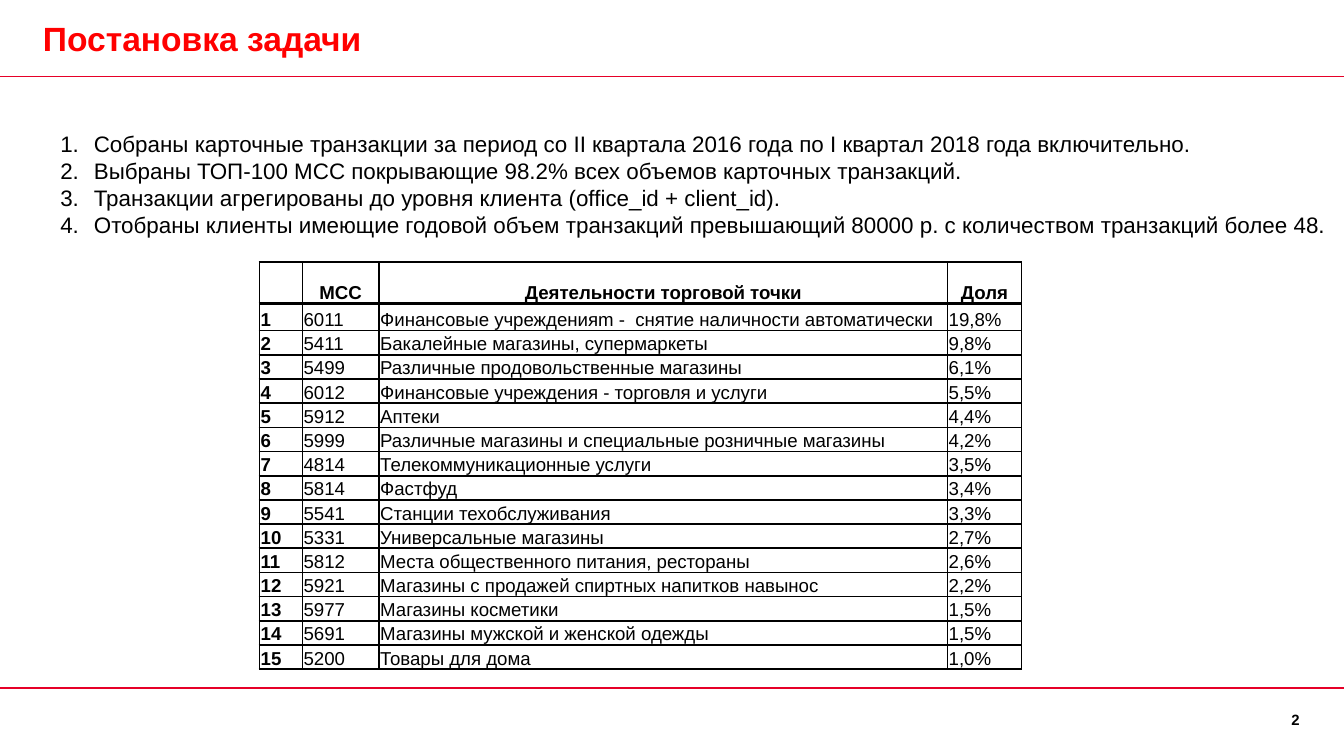
from lxml.etree import SubElement
from pptx import Presentation
from pptx.dml.color import RGBColor
from pptx.enum.shapes import MSO_CONNECTOR as Connector
from pptx.enum.text import MSO_ANCHOR as Anchor, PP_ALIGN as Align
from pptx.oxml.ns import qn
from pptx.util import Inches, Pt

BLACK = RGBColor(0x00, 0x00, 0x00)
TITLE_RED = RGBColor(0xFF, 0x00, 0x00)
RULE_RED = RGBColor(0xE6, 0x00, 0x28)

SLIDE_WIDTH = Inches(10)
SLIDE_HEIGHT = SLIDE_WIDTH * 9 // 16

STEPS = [
    "Собраны карточные транзакции за период со II квартала 2016 года по I квартал 2018 года включительно.",
    "Выбраны ТОП-100 MCC покрывающие 98.2% всех объемов карточных транзакций.",
    "Транзакции агрегированы до уровня клиента (office_id + client_id).",
    "Отобраны клиенты имеющие годовой объем транзакций превышающий 80000 р. с количеством транзакций более 48.",
]

HEADER = ("", "MCC", "Деятельности торговой точки", " Доля ")
CATEGORIES = [
    ("6011", "Финансовые учрежденияm -  снятие наличности автоматически", "19,8%"),
    ("5411", "Бакалейные магазины, супермаркеты", "9,8%"),
    ("5499", "Различные продовольственные магазины", "6,1%"),
    ("6012", "Финансовые учреждения - торговля и услуги", "5,5%"),
    ("5912", "Аптеки", "4,4%"),
    ("5999", "Различные магазины и специальные розничные магазины", "4,2%"),
    ("4814", "Телекоммуникационные услуги", "3,5%"),
    ("5814", "Фастфуд", "3,4%"),
    ("5541", "Станции техобслуживания", "3,3%"),
    ("5331", "Универсальные магазины", "2,7%"),
    ("5812", "Места общественного питания, рестораны", "2,6%"),
    ("5921", "Магазины с продажей спиртных напитков навынос", "2,2%"),
    ("5977", "Магазины косметики", "1,5%"),
    ("5691", "Магазины мужской и женской одежды", "1,5%"),
    ("5200", "Товары для дома", "1,0%"),
]
COLUMN_WIDTHS = (0.32, 0.57, 4.23, 0.55)
ROW_HEIGHTS = (0.31, 0.2) + (0.18,) * (len(CATEGORIES) - 1)


def set_attributes(target, values):
    for name, value in values.items():
        setattr(target, name, value)


def write(paragraph, text, size, color=BLACK, bold=False, align=Align.LEFT):
    paragraph.alignment = align
    run = paragraph.add_run()
    run.text = text
    set_attributes(run.font, {"name": "Arial", "size": Pt(size), "bold": bold})
    run.font.color.rgb = color


def add_text_frame(slide, box, margins, anchor=Anchor.TOP):
    frame = slide.shapes.add_textbox(*map(Inches, box)).text_frame
    left, top, right, bottom = map(Inches, margins)
    set_attributes(frame, {
        "word_wrap": True, "vertical_anchor": anchor,
        "margin_left": left, "margin_top": top,
        "margin_right": right, "margin_bottom": bottom,
    })
    return frame


def add_rule(slide, y):
    rule = slide.shapes.add_connector(
        Connector.STRAIGHT, 0, Inches(y), SLIDE_WIDTH, Inches(y))
    rule.line.color.rgb = RULE_RED
    rule.line.width = Pt(1)
    SubElement(rule._element.spPr, qn("a:effectLst"))


def add_steps(slide):
    frame = add_text_frame(slide, (0.35, 0.92, 9.71, 1.72), (0.1, 0.05, 0.1, 0.05))
    for index, step in enumerate(STEPS):
        paragraph = frame.paragraphs[0] if index == 0 else frame.add_paragraph()
        write(paragraph, step, 12)
        properties = paragraph._p.get_or_add_pPr()
        properties.set("marL", str(Inches(0.25)))
        properties.set("indent", str(Inches(-0.25)))
        SubElement(properties, qn("a:buFont"), typeface="+mj-lt")
        SubElement(properties, qn("a:buAutoNum"), type="arabicPeriod")


def set_borders(cell, bottom_width):
    # Borders have to come before the fill in the cell properties
    properties = cell._tc.get_or_add_tcPr()
    for side, width in (("L", 1), ("R", 1), ("T", 1), ("B", bottom_width)):
        border = SubElement(properties, qn(f"a:ln{side}"), w=str(Pt(width)))
        fill = SubElement(border, qn("a:solidFill"))
        SubElement(fill, qn("a:srgbClr"), val=str(BLACK))


def fill_cell(cell, text, is_header, bold):
    set_attributes(cell, {
        "vertical_anchor": Anchor.BOTTOM, "margin_left": Inches(0.01),
        "margin_top": Inches(0.01), "margin_right": Inches(0.01), "margin_bottom": 0,
    })
    set_borders(cell, 2 if is_header else 1)
    cell.fill.background()
    write(cell.text_frame.paragraphs[0], text, 10, bold=bold,
          align=Align.CENTER if is_header else Align.LEFT)


def add_category_table(slide):
    rows = [HEADER] + [(str(n), *category) for n, category in enumerate(CATEGORIES, 1)]
    table = slide.shapes.add_table(
        len(rows), len(HEADER), Inches(1.93), Inches(1.95),
        Inches(sum(COLUMN_WIDTHS)), Inches(sum(ROW_HEIGHTS))).table
    set_attributes(table, {"first_row": False, "horz_banding": False})
    for column, width in zip(table.columns, COLUMN_WIDTHS):
        column.width = Inches(width)
    for r, (texts, height) in enumerate(zip(rows, ROW_HEIGHTS)):
        table.rows[r].height = Inches(height)
        for c, text in enumerate(texts):
            fill_cell(table.cell(r, c), text, is_header=r == 0, bold=r == 0 or c == 0)


def main():
    deck = Presentation()
    set_attributes(deck, {"slide_width": SLIDE_WIDTH, "slide_height": SLIDE_HEIGHT})
    slide = deck.slides.add_slide(deck.slide_layouts[6])

    # Page number and rules
    page_number = add_text_frame(slide, (9.28, 5.29, 0.39, 0.36), (0, 0, 0, 0))
    write(page_number.paragraphs[0], "2", 8, bold=True, align=Align.RIGHT)
    for y in (0.57, 5.12):
        add_rule(slide, y)

    # Title
    title = add_text_frame(slide, (0.32, 0, 9.36, 0.57), (0, 0.05, 0.1, 0.05), Anchor.MIDDLE)
    write(title.paragraphs[0], "Постановка задачи", 18, TITLE_RED, bold=True)

    # Content
    add_steps(slide)
    add_category_table(slide)

    deck.save("out.pptx")


if __name__ == "__main__":
    main()
